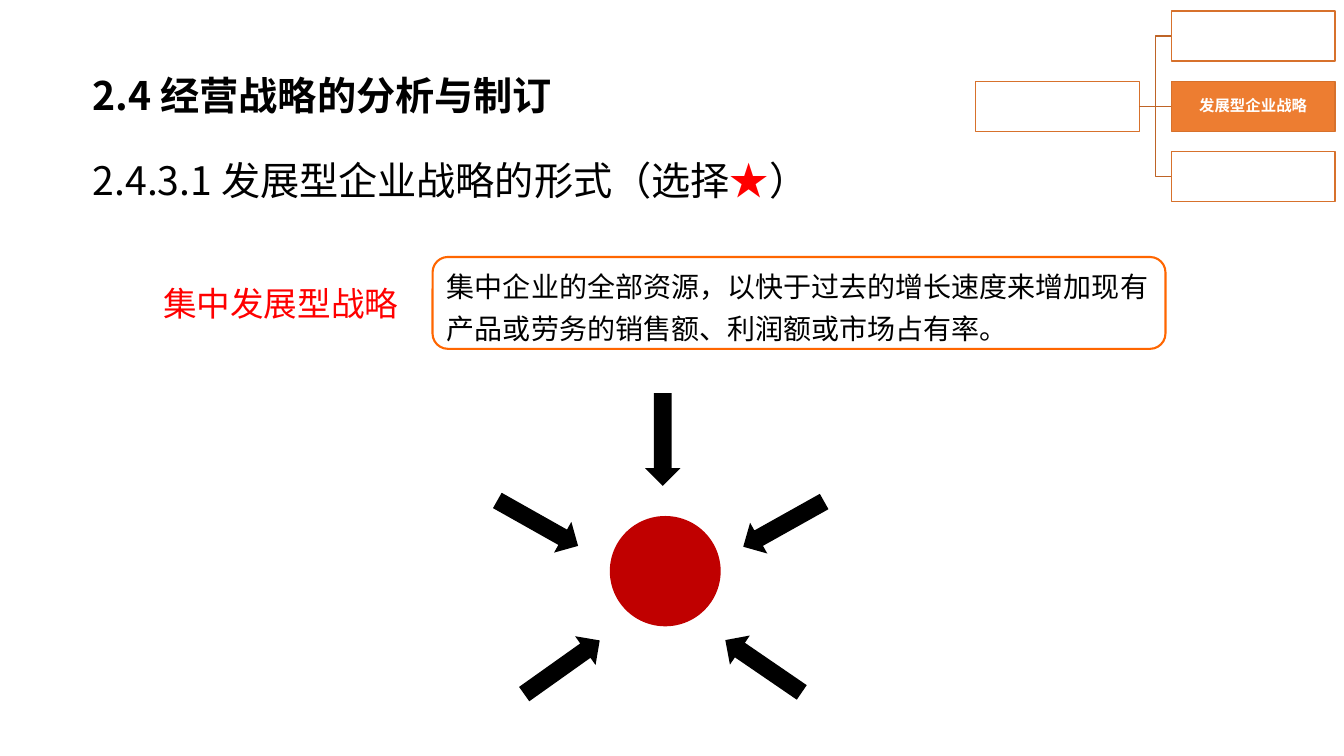
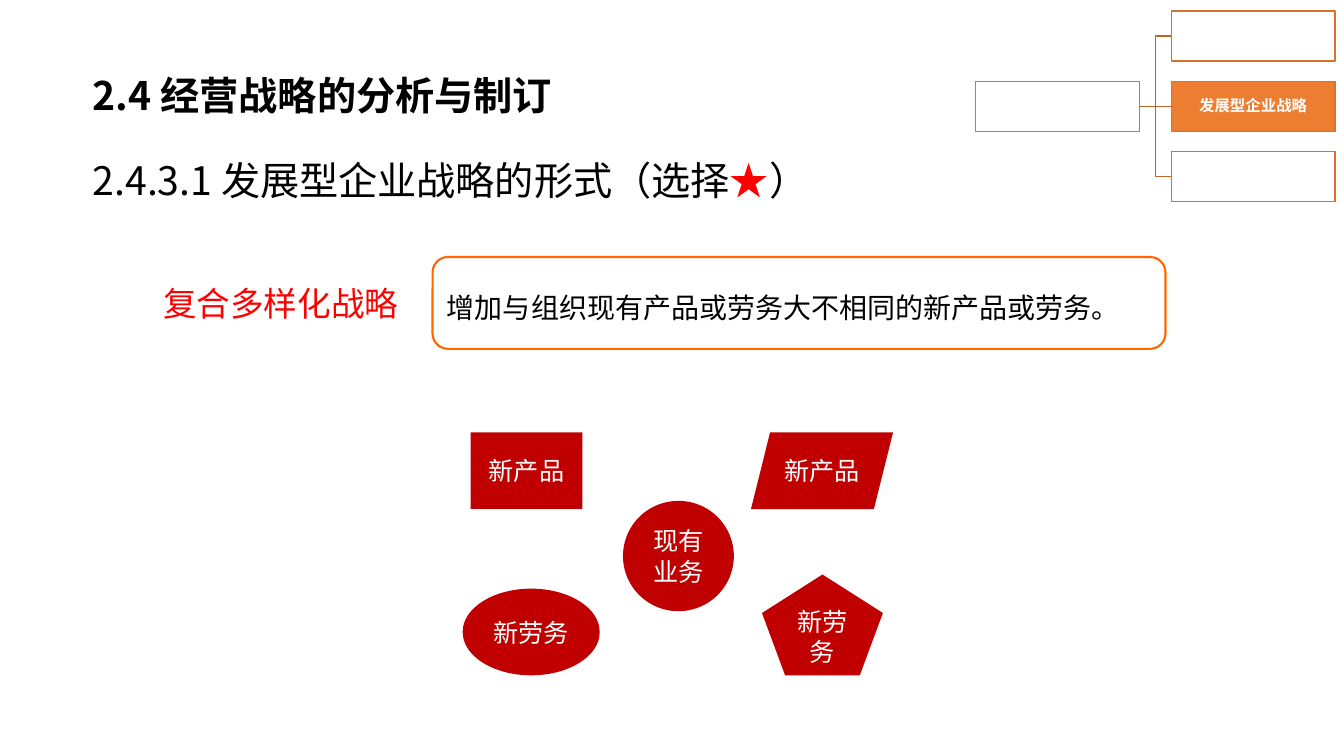
from dataclasses import dataclass

from lxml import etree
from pptx import Presentation
from pptx.dml.color import RGBColor
from pptx.enum.shapes import MSO_CONNECTOR, MSO_SHAPE
from pptx.enum.text import MSO_ANCHOR, PP_ALIGN
from pptx.oxml.ns import qn
from pptx.util import Pt

LEFT, CENTER = PP_ALIGN.LEFT, PP_ALIGN.CENTER
MIDDLE = MSO_ANCHOR.MIDDLE
STRAIGHT, ELBOW = MSO_CONNECTOR.STRAIGHT, MSO_CONNECTOR.ELBOW
RECTANGLE, ROUNDED = MSO_SHAPE.RECTANGLE, MSO_SHAPE.ROUNDED_RECTANGLE
OVAL, DOWN_ARROW = MSO_SHAPE.OVAL, MSO_SHAPE.DOWN_ARROW
PARALLELOGRAM, PENTAGON = MSO_SHAPE.PARALLELOGRAM, MSO_SHAPE.REGULAR_PENTAGON
LEFT_SITE, RIGHT_SITE = 1, 3
TITLE_ONLY = 5


@dataclass(frozen=True)
class Theme:
    heading_font: str = "Noto Sans CJK SC"
    body_font: str = "Noto Sans CJK JP"
    black: str = "000000"
    white: str = "FFFFFF"
    red: str = "FF0000"
    dark_red: str = "C00000"
    frame: str = "FF6600"
    node_fill: str = "ED7D31"
    node_line: str = "D7712C"
    link: str = "BE6427"
    heading_size: int = 28
    strategy_size: int = 24
    definition_size: int = 20
    figure_size: int = 18
    node_size: int = 11


THEME = Theme()
WIDE_INSETS = (8.64, 4.32)
DEFAULT_INSETS = (7.2, 3.6)

TITLE = "2.4 经营战略的分析与制订"
SUBTITLE = [
    ("2.4.3.1 发展型企业战略的形式（选择", THEME.black),
    ("★", THEME.red),
    ("）", THEME.black),
]
CURRENT_NODE = "发展型企业战略"

INWARD_ARROWS = [
    (371.5, 340.6, 299.4),
    (547.2, 341.3, 60.8),
    (388.8, 443.5, 234.6),
    (460.8, 280.8, 0),
    (532.8, 442.8, 124.4),
]
BUSINESSES = [
    (OVAL, (445, 357.8, 79.2, 78.8), "现有业务"),
    (PARALLELOGRAM, (536.4, 308.9, 101.5, 54.7), "新产品"),
    (RECTANGLE, (336.2, 308.9, 79.9, 54.7), "新产品"),
    (OVAL, (330.5, 420.5, 97.9, 61.9), "新劳务"),
    (PENTAGON, (544.3, 410.4, 86.4, 72), "新劳务"),
]


def color(value):
    return RGBColor.from_string(value)


def points(box):
    return [Pt(length) for length in box]


def write_text(holder, text, *, size, font=THEME.body_font, fill=THEME.black,
               bold=False, align=LEFT, spacing=None, insets=DEFAULT_INSETS):
    frame = holder.text_frame
    frame.word_wrap = True
    frame.vertical_anchor = MIDDLE
    frame.margin_left = frame.margin_right = Pt(insets[0])
    frame.margin_top = frame.margin_bottom = Pt(insets[1])
    paragraph = frame.paragraphs[0]
    paragraph.alignment = align
    if spacing is not None:
        paragraph.line_spacing = spacing
    pieces = [(text, fill)] if isinstance(text, str) else text
    for words, piece_fill in pieces:
        run = paragraph.add_run()
        run.text = words
        run.font.size = Pt(size)
        run.font.bold = bold
        run.font.color.rgb = color(piece_fill)
        run.font.name = font
        latin = run.font._element.find(qn("a:latin"))
        east_asian = etree.Element(qn("a:ea"), typeface=font)
        latin.addnext(east_asian)


def add_figure(slide, preset, box, *, fill=None, line=None, line_width=1):
    figure = slide.shapes.add_shape(preset, *points(box))
    figure.shadow.inherit = False
    if fill:
        figure.fill.solid()
        figure.fill.fore_color.rgb = color(fill)
    else:
        figure.fill.background()
    if line:
        figure.line.color.rgb = color(line)
        figure.line.width = Pt(line_width)
    else:
        figure.line.fill.background()
    return figure


def add_label(slide, box, text, **style):
    label = slide.shapes.add_textbox(*points(box))
    write_text(label, text, **style)


def add_link(slide, kind, parent, child):
    link = slide.shapes.add_connector(kind, 0, 0, 0, 0)
    link.begin_connect(parent, RIGHT_SITE)
    link.end_connect(child, LEFT_SITE)
    link.line.color.rgb = color(THEME.link)
    link.line.width = Pt(1)
    etree.SubElement(link._element.spPr, qn("a:effectLst"))


def add_node(slide, left, top, fill=THEME.white):
    return add_figure(slide, RECTANGLE, (left, top, 116.8, 35.6),
                      fill=fill, line=THEME.node_line)


def add_strategy_tree(slide):
    first_top, pitch = 8, 50.2
    parent = add_node(slide, 697, first_top + pitch)
    for row in range(3):
        current = row == 1
        child = add_node(slide, 836.8, first_top + row * pitch,
                         THEME.node_fill if current else THEME.white)
        if current:
            write_text(child, CURRENT_NODE, size=THEME.node_size,
                       font=THEME.heading_font, fill=THEME.white, bold=True,
                       align=CENTER, spacing=0.9, insets=(0.7, 0.7))
        add_link(slide, STRAIGHT if current else ELBOW, parent, child)


def add_strategy_slide(deck, strategy, definition):
    slide = deck.slides.add_slide(deck.slide_layouts[TITLE_ONLY])
    title = slide.shapes.title
    title.left, title.top, title.width, title.height = points((57.6, 46.8, 824.4, 42.4))
    write_text(title, TITLE, size=THEME.heading_size, font=THEME.heading_font,
               bold=True, insets=WIDE_INSETS)
    add_label(slide, (57.6, 82.8, 875.5, 74.9), SUBTITLE, size=THEME.heading_size,
              font=THEME.heading_font, spacing=1.5, insets=WIDE_INSETS)
    add_strategy_tree(slide)
    add_label(slide, (109.4, 198.7, 199.4, 36), strategy,
              size=THEME.strategy_size, fill=THEME.red)
    definition_frame = add_figure(slide, ROUNDED, (309, 183.6, 523.5, 65.6),
                                  line=THEME.frame, line_width=1.5)
    write_text(definition_frame, definition, size=THEME.definition_size, spacing=Pt(30))
    return slide


def add_concentration(slide):
    add_figure(slide, OVAL, (435.6, 368.6, 79.2, 78.8), fill=THEME.dark_red)
    for left, top, angle in INWARD_ARROWS:
        arrow = add_figure(slide, DOWN_ARROW, (left, top, 25.2, 66.2), fill=THEME.black)
        arrow.rotation = angle


def add_diversification(slide):
    for preset, box, name in BUSINESSES:
        business = add_figure(slide, preset, box, fill=THEME.dark_red)
        write_text(business, name, size=THEME.figure_size, fill=THEME.white, align=CENTER)


def main():
    deck = Presentation()
    deck.slide_width, deck.slide_height = Pt(960), Pt(540)
    add_concentration(add_strategy_slide(
        deck, "集中发展型战略",
        "集中企业的全部资源，以快于过去的增长速度来增加现有产品或劳务的销售额、利润额或市场占有率。"))
    add_diversification(add_strategy_slide(
        deck, "复合多样化战略",
        "增加与组织现有产品或劳务大不相同的新产品或劳务。"))
    deck.save("out.pptx")


if __name__ == "__main__":
    main()
